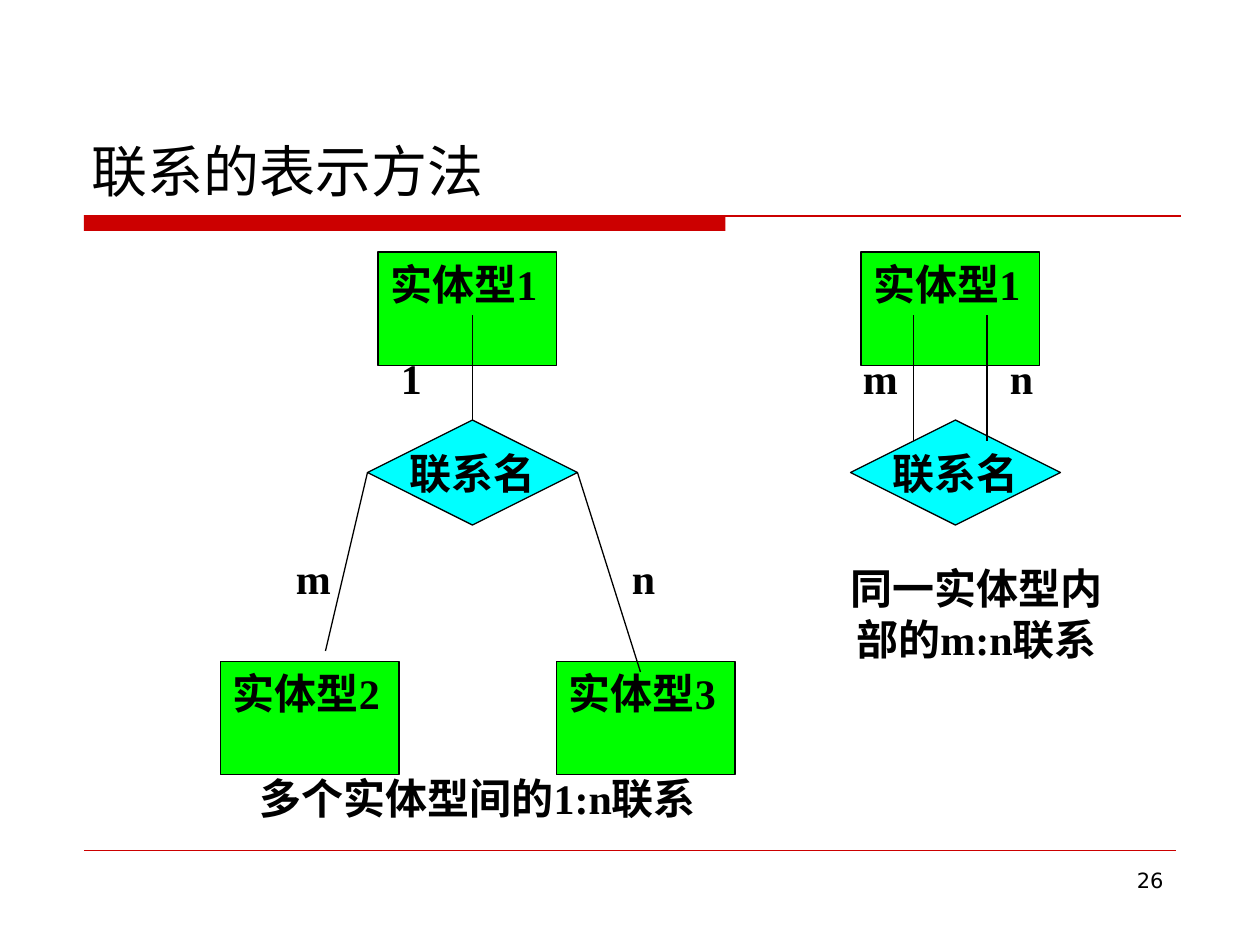
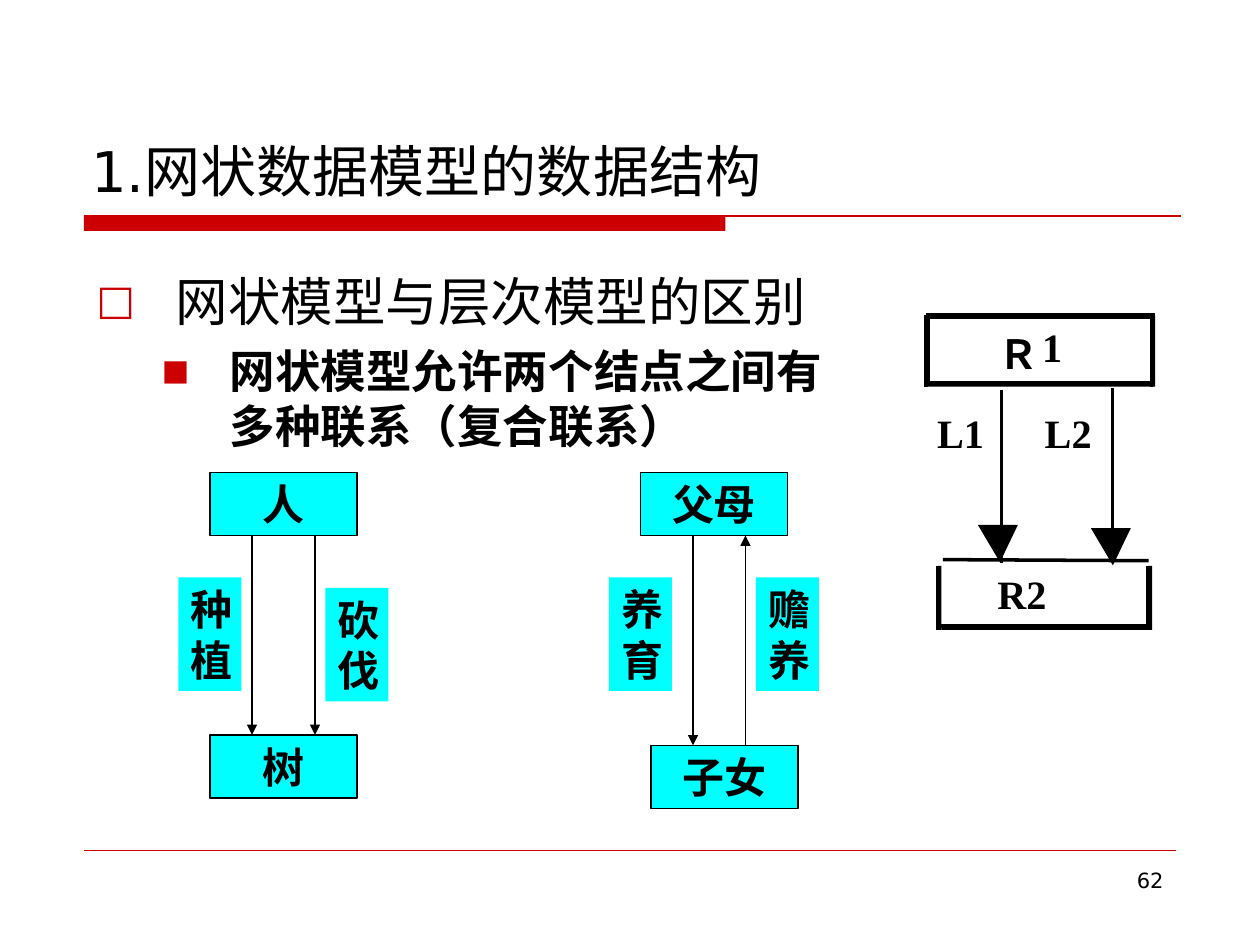
"""Builds two slides on entity links and network data models, on a grid of 12 cells to the inch."""
from pptx import Presentation
from pptx import util as u
from pptx.dml.color import RGBColor
from pptx.enum import shapes, text
from pptx.oxml.ns import qn
from lxml import etree

COLS, ROWS, CELL = 120, 90, 76200
THEME = {
    "red": "CC0000", "ink": "000000", "box": "00FF00", "link": "00FFFF",
    "sans": "DejaVu Sans", "serif": "Times New Roman", "wide": "Noto Sans CJK SC",
    "title": 32, "page": 12, "label": 24, "net": 23, "thin": 0.75, "hair": 0.25,
}
KIND, AL, ANC = shapes.MSO_SHAPE, text.PP_ALIGN, text.MSO_ANCHOR

TIES = {
    "title": "联系的表示方法", "page": "26",
    "boxes": [("实体型1", 82, 24), ("实体型1", 36, 24), ("实体型2", 21, 63), ("实体型3", 53, 63)],
    "links": [("联系名", 81, 40), ("联系名", 35, 40)],
    "joins": [(1, 0, 45, 30), (1, 1, 31, 62), (1, 3, 61, 64)],
    "lines": [(87, 42, 87, 30), (94, 30, 94, 42)],
    "marks": [("m", 81, 33), ("n", 95, 33), ("1", 37, 33), ("m", 27, 52), ("n", 59, 52)],
    "notes": [("同一实体型内部的m:n联系", 78, 53, 30, 10.8), ("多个实体型间的1:n联系", 21, 73, 49, 6)],
}
NET = {
    "title": "1.网状数据模型的数据结构", "page": "62",
    "points": [
        ("网状模型与层次模型的区别", 30, False, "□", 78, 0.63, 0.63, 0),
        ("网状模型允许两个结点之间有多种联系（复合联系）", 26, True, "■", 64, 1.06, 0.54, 6.5),
    ],
    "nodes": [("父母", 61, 45), ("人", 20, 45), ("子女", 62, 71), ("树", 20, 70)],
    "arrows": [(24, 51, 24, 70), (30, 51, 30, 70), (66, 51, 66, 71), (71, 71, 71, 51)],
    "verbs": [("种植", 17, 55), ("砍伐", 31, 56), ("养育", 58, 55), ("赡养", 72, 55)],
    "frames": [((88.2, 88.57, 109.66, 110.03), (30, 30.37, 36.47, 36.84)),
               ((89.3, 89.67, 109.36, 109.73), (53.9, 59.62, 59.99))],
    "lid": (89.8, 53.3, 109.4, 53.4),
    "stems": [(95.4, 37.1, 95.4, 53.6), (105.95, 37, 105.95, 51)],
    "tips": [(93.14, 50), (103.9, 50.3)],
    "tip": [(2.1, 3.55), (3.8, 0), (0, 0)],
    "marks": [("Ｒ", 95.1, 31.4, "wide"), ("1", 99.25, 30.7, "serif"), ("L1", 89.25, 38.9, "serif"),
              ("L2", 99.5, 38.9, "serif"), ("R2", 95, 54.25, "serif")],
}


def grid(*cells):
    """Turn grid cells into lengths."""
    return [u.Emu(round(c * CELL)) for c in cells]


def tint(name):
    """Give a theme colour."""
    return RGBColor.from_string(THEME[name])


def put(obj, **vals):
    """Set attributes from named values."""
    for key, val in vals.items():
        setattr(obj, key, val)


def style(font, size, face="serif", bold=True):
    """Format a font."""
    put(font, size=u.Pt(size), name=THEME[face], bold=bold)
    font.color.rgb = tint("ink")


def write(shape, words, size="label", face="serif", bold=True, al=AL.LEFT, anc=ANC.TOP,
          wrap=True, pad=True):
    """Put one formatted paragraph into a shape."""
    frame = shape.text_frame
    put(frame, text=words, word_wrap=wrap, vertical_anchor=anc, auto_size=text.MSO_AUTO_SIZE.NONE)
    side, end = (u.Inches(0.1), u.Inches(0.05)) if pad else (0, 0)
    put(frame, margin_left=side, margin_right=side, margin_top=end, margin_bottom=end)
    para = frame.paragraphs[0]
    para.alignment = al
    style(para.font, THEME[size], face, bold)


def label(slide, words, x, y, w, h, **form):
    """Add a text box."""
    write(slide.shapes.add_textbox(*grid(x, y, w, h)), words, **form)


def paint(shape, fill, line=None):
    """Set fill and outline."""
    shape.shadow.inherit = False
    shape.fill.solid()
    shape.fill.fore_color.rgb = tint(fill)
    if line:
        shape.line.color.rgb = tint(line)
        shape.line.width = u.Pt(THEME["thin"])
    else:
        shape.line.fill.background()
    return shape


def block(slide, kind, x, y, w, h, *look):
    """Add a preset shape."""
    return paint(slide.shapes.add_shape(kind, *grid(x, y, w, h)), *look)


def rule(slide, ends, width=THEME["thin"], hue="ink", head=False):
    """Add a straight line, with an arrowhead if asked."""
    line = slide.shapes.add_connector(shapes.MSO_CONNECTOR.STRAIGHT, *grid(*ends))
    line.line.color.rgb = tint(hue)
    line.line.width = u.Pt(width)
    if head:
        etree.SubElement(line.line._get_or_add_ln(), qn("a:tailEnd"), type="triangle")
    etree.SubElement(line._element.spPr, qn("a:effectLst"))
    return line


def start(deck, data):
    """Add a slide with its title, bands and page number."""
    slide = deck.slides.add_slide(deck.slide_layouts[5])
    block(slide, KIND.RECTANGLE, 8, 20.5, 61.1, 1.5, "red")
    rule(slide, (8, 20.55, 112.45, 20.55), 1, "red")
    rule(slide, (8, 81, 112, 81), THEME["hair"], "red")
    label(slide, data["page"], 86, 82, 26, 6.2, size="page", face="sans", bold=False, al=AL.RIGHT)
    title = slide.shapes.title
    left, top, width, height = grid(7.5, 4, 105, 16)
    put(title, left=left, top=top, width=width, height=height)
    write(title, data["title"], "title", "sans", False, anc=ANC.BOTTOM)
    return slide


def ties(deck):
    """Draw the entity link slide."""
    slide = start(deck, TIES)
    for words, x, y in TIES["boxes"]:
        write(block(slide, KIND.RECTANGLE, x, y, 17, 10.8, "box", "ink"), words)
    gems = []
    for words, x, y in TIES["links"]:
        gem = block(slide, KIND.DIAMOND, x, y, 20, 10, "link", "ink")
        write(gem, words, al=AL.CENTER, anc=ANC.MIDDLE, wrap=False)
        gems.append(gem)
    for gem, side, x, y in TIES["joins"]:
        rule(slide, (x, y, x, y)).begin_connect(gems[gem], side)
    for ends in TIES["lines"]:
        rule(slide, ends)
    for words, x, y in TIES["marks"]:
        label(slide, words, x, y, 5, 6)
    for words, *area in TIES["notes"]:
        label(slide, words, *area, al=AL.CENTER)


def points(slide):
    """Write the bulleted text."""
    box = slide.shapes.add_textbox(*grid(8, 25, 73, 19))
    frame = box.text_frame
    frame.word_wrap = True
    for i, (words, size, bold, sign, scale, left, hang, gap) in enumerate(NET["points"]):
        para = frame.add_paragraph() if i else frame.paragraphs[0]
        put(para, text=words, level=i, space_before=u.Pt(gap))
        props = para._p.get_or_add_pPr()
        props.set("marL", str(u.Inches(left)))
        props.set("indent", str(-u.Inches(hang)))
        hue = etree.SubElement(props, qn("a:buClr"))
        etree.SubElement(hue, qn("a:srgbClr"), val=THEME["red"])
        etree.SubElement(props, qn("a:buSzPct"), val=str(scale * 1000))
        etree.SubElement(props, qn("a:buFont"), typeface=THEME["sans"])
        etree.SubElement(props, qn("a:buChar"), char=sign)
        style(para.font, size, "sans", bold)


def border(slide, xs, ys):
    """Build a frame of bars and corners, each edged with a fine line."""
    for y, low in zip(ys, ys[1:]):
        for x, far in zip(xs, xs[1:]):
            wide, tall = far - x > 1, low - y > 1
            if wide and tall:
                continue
            block(slide, KIND.RECTANGLE, x, y, far - x, low - y, "ink")
            if not tall:
                rule(slide, (x, y, far, y), 0)
            if not wide:
                rule(slide, (x, y, x, low), 0)


def records(slide):
    """Draw the R1 and R2 record diagram."""
    for xs, ys in NET["frames"]:
        border(slide, xs, ys)
    rule(slide, NET["lid"], 0)
    for ends in NET["stems"]:
        rule(slide, ends, 1.87)
    for x, y in NET["tips"]:
        pen = slide.shapes.build_freeform(*grid(x, y))
        pen.add_line_segments([grid(x + dx, y + dy) for dx, dy in NET["tip"]])
        paint(pen.convert_to_shape(), "ink")
    for words, x, y, face in NET["marks"]:
        label(slide, words, x, y, 5, 4.6, size="net", face=face, wrap=False, pad=False)


def net(deck):
    """Draw the network model slide."""
    slide = start(deck, NET)
    records(slide)
    points(slide)
    for words, x, y in NET["nodes"]:
        write(block(slide, KIND.RECTANGLE, x, y, 14, 6, "link", "ink"), words, al=AL.CENTER)
    for ends in NET["arrows"]:
        rule(slide, ends, 1, head=True)
    for words, x, y in NET["verbs"]:
        write(block(slide, KIND.RECTANGLE, x, y, 6, 10.8, "link"), words, al=AL.CENTER)


def main():
    """Build and save the deck."""
    deck = Presentation()
    put(deck, slide_width=u.Emu(COLS * CELL), slide_height=u.Emu(ROWS * CELL))
    ties(deck)
    net(deck)
    deck.save("out.pptx")


if __name__ == "__main__":
    main()
